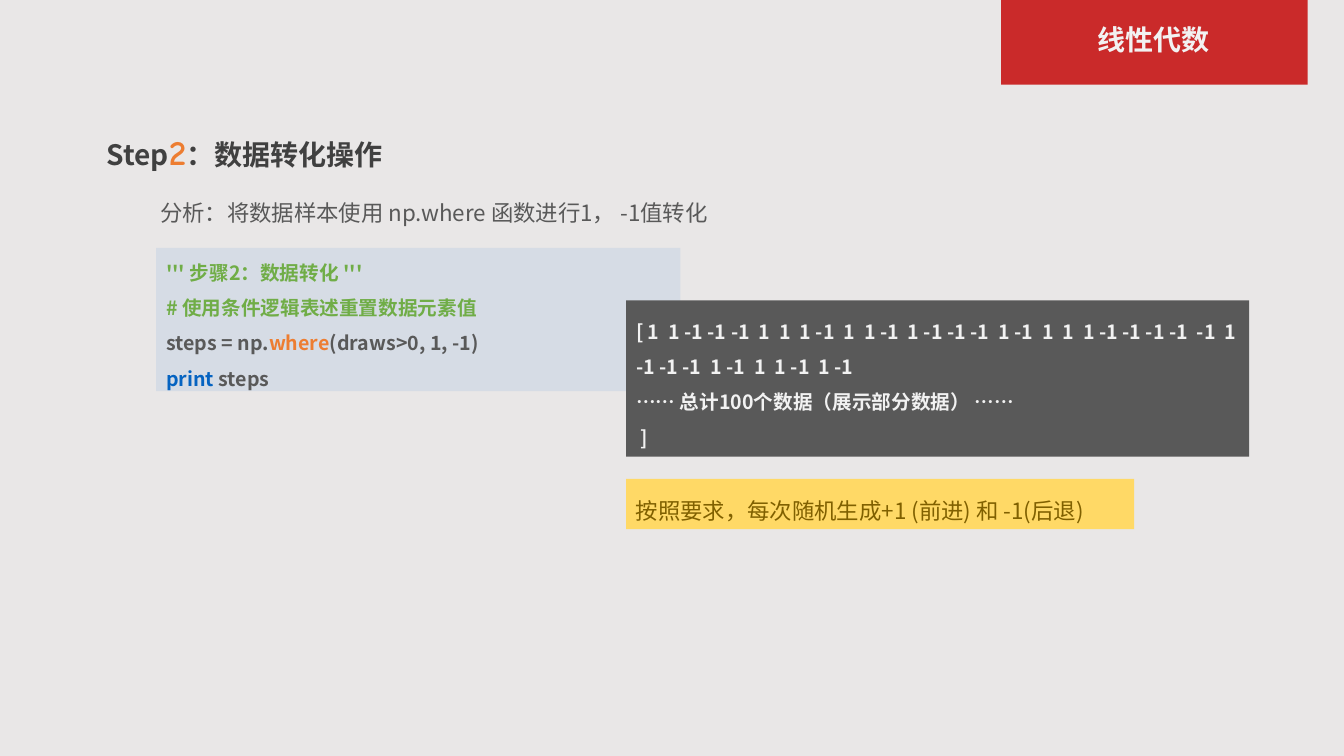
from lxml import etree
from pptx import Presentation
from pptx.dml.color import RGBColor
from pptx.enum.shapes import MSO_SHAPE
from pptx.enum.text import MSO_ANCHOR, MSO_AUTO_SIZE, PP_ALIGN
from pptx.oxml.ns import qn
from pptx.util import Inches, Pt

RECTANGLE = MSO_SHAPE.RECTANGLE
TOP, MIDDLE = MSO_ANCHOR.TOP, MSO_ANCHOR.MIDDLE
LEFT, CENTER = PP_ALIGN.LEFT, PP_ALIGN.CENTER
NO_AUTOFIT = MSO_AUTO_SIZE.NONE

SANS, COMIC = "Noto Sans CJK SC", "Comic Neue"
COLORS = {
    "background": "E9E7E7", "banner": "CA2A2A", "light": "F2F2F2",
    "heading": "404040", "gray": "595959", "orange": "ED7D31",
    "code panel": "D6DCE5", "comment": "70AD47", "keyword": "0563C1",
    "note panel": "FFD966", "note": "806000",
}

# Each paragraph is a list of runs: (text, color) or (text, color, size, font)
TITLE = [[("线性代数", "light")]]
HEADING = [[("Step", "heading"), ("2", "orange", 25, COMIC), ("：数据转化操作", "heading")]]
ANALYSIS = [[("分析：将数据样本使用 np.where 函数进行1， -1值转化", "gray")]]
CODE = [
    [("''' 步骤2：数据转化 '''", "comment")],
    [("# 使用条件逻辑表述重置数据元素值", "comment")],
    [("steps = np.", "gray"), ("where", "orange"), ("(draws>0, 1, -1)", "gray")],
    [("print ", "keyword"), ("steps", "gray")],
]
OUTPUT = [
    [("[ 1  1 -1 -1 -1  1  1  1 -1  1  1 -1  1 -1 -1 -1  1 -1  1  1  1 -1 -1 -1 -1  -1"
      "  1 -1 -1 -1  1 -1  1  1 -1  1 -1", "light")],
    [("…… 总计100个数据（展示部分数据） ……", "light")],
    [(" ]", "light")],
]
NOTE = [[("按照要求，每次随机生成+1 (前进) 和 -1(后退)", "note")]]


def rgb(name):
    return RGBColor.from_string(COLORS[name])


def write(shape, paragraphs, size, bold=False, spacing=1.5, align=LEFT, anchor=TOP):
    frame = shape.text_frame
    frame.word_wrap = True
    frame.auto_size = NO_AUTOFIT
    frame.vertical_anchor = anchor
    for index, runs in enumerate(paragraphs):
        paragraph = frame.add_paragraph() if index else frame.paragraphs[0]
        paragraph.alignment = align
        paragraph.line_spacing = spacing
        for text, color, *special in runs:
            run_size, face = special or (size, SANS)
            run = paragraph.add_run()
            run.text = text
            run.font.size = Pt(run_size)
            run.font.bold = bold
            run.font.name = face
            run.font.color.rgb = rgb(color)
            east_asian = etree.Element(qn("a:ea"), typeface=face)
            run.font._element.find(qn("a:latin")).addnext(east_asian)


def add_panel(slide, box, fill):
    panel = slide.shapes.add_shape(RECTANGLE, *map(Inches, box))
    panel.shadow.inherit = False
    panel.fill.solid()
    panel.fill.fore_color.rgb = rgb(fill)
    panel.line.fill.background()
    return panel


def add_text(slide, box, paragraphs, size, **style):
    write(slide.shapes.add_textbox(*map(Inches, box)), paragraphs, size, **style)


def main():
    deck = Presentation()
    deck.slide_width, deck.slide_height = Inches(13.33), Inches(7.5)
    slide = deck.slides.add_slide(deck.slide_layouts[5])
    slide.background.fill.solid()
    slide.background.fill.fore_color.rgb = rgb("background")

    banner = add_panel(slide, (9.93, 0, 3.04, 0.84), "banner")
    title = slide.shapes.title
    title._element.addprevious(banner._element)
    title.left, title.top, title.width, title.height = map(Inches, (9.94, 0.2, 3, 0.42))
    write(title, TITLE, 20, bold=True, spacing=0.9, align=CENTER, anchor=MIDDLE)

    add_text(slide, (0.96, 1.25, 11.59, 0.52), HEADING, 20, bold=True, spacing=1.0)
    add_text(slide, (1.49, 1.79, 11.44, 0.46), ANALYSIS, 16)

    code = add_panel(slide, (1.55, 2.46, 5.2, 1.42), "code panel")
    write(code, CODE, 14, bold=True, anchor=MIDDLE)
    output = add_panel(slide, (6.21, 2.98, 6.18, 1.55), "gray")
    write(output, OUTPUT, 14, bold=True, anchor=MIDDLE)
    note = add_panel(slide, (6.21, 4.75, 5.04, 0.5), "note panel")
    write(note, NOTE, 16)

    deck.save("out.pptx")


if __name__ == "__main__":
    main()
